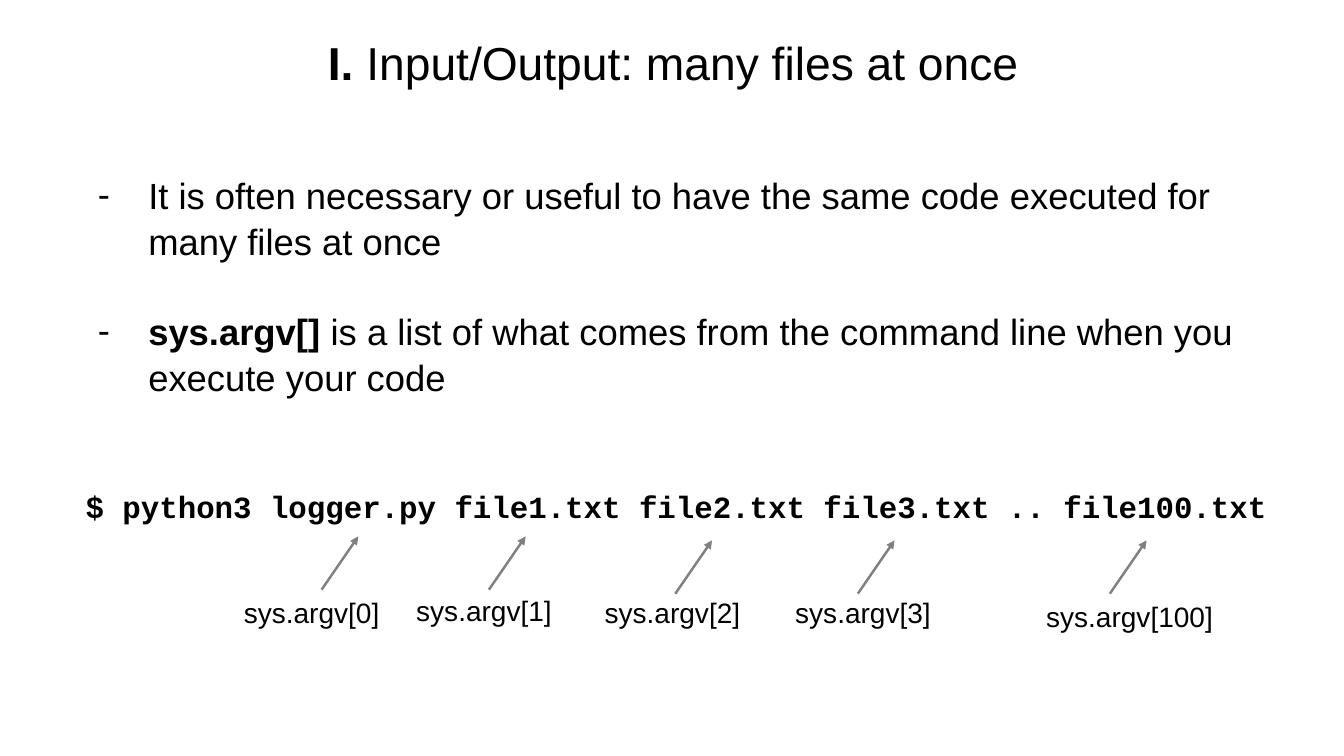
from dataclasses import dataclass

from lxml import etree
from pptx import Presentation
from pptx.dml.color import RGBColor
from pptx.enum.shapes import MSO_CONNECTOR
from pptx.enum.text import MSO_ANCHOR, MSO_AUTO_SIZE, PP_ALIGN
from pptx.oxml.ns import qn
from pptx.util import Inches, Pt

STRAIGHT = MSO_CONNECTOR.STRAIGHT
TOP, MIDDLE = MSO_ANCHOR.TOP, MSO_ANCHOR.MIDDLE
LEFT, CENTER = PP_ALIGN.LEFT, PP_ALIGN.CENTER
NO_AUTOFIT = MSO_AUTO_SIZE.NONE


@dataclass(frozen=True)
class Theme:
    text: RGBColor = RGBColor(0, 0, 0)
    arrow: RGBColor = RGBColor(0x80, 0x80, 0x80)
    sans: str = "Arial"
    mono: str = "Courier New"
    title_size: int = 33
    body_size: int = 26
    command_size: int = 22
    label_size: int = 20
    arrow_width: float = 1.75
    line_spacing: float = 1.05
    paragraph_gap: float = 31.5
    bullet_indent: float = 0.5


class SlideBuilder:
    """Places elements on one slide; lengths are percent of its width and height."""

    def __init__(self, prs, theme):
        self.theme = theme
        self.width, self.height = prs.slide_width, prs.slide_height
        self.slide = prs.slides.add_slide(prs.slide_layouts[1])

    def to_emu(self, x, y):
        return round(self.width * x / 100), round(self.height * y / 100)

    def place(self, sp, box):
        sp.left, sp.top = self.to_emu(*box[:2])
        sp.width, sp.height = self.to_emu(*box[2:])

    def frame(self, sp, anchor, wrap):
        tf = sp.text_frame
        tf.auto_size = NO_AUTOFIT
        tf.word_wrap = wrap
        tf.vertical_anchor = anchor
        return tf

    def add_runs(self, p, runs, size, font, align=LEFT):
        """Fill a paragraph with (text, bold) runs."""
        p.alignment = align
        for text, bold in runs:
            r = p.add_run()
            r.text = text
            r.font.name = font
            r.font.size = Pt(size)
            r.font.bold = bold
            r.font.color.rgb = self.theme.text

    def title(self, box, runs):
        sp = self.slide.shapes.title
        self.place(sp, box)
        tf = self.frame(sp, MIDDLE, False)
        self.add_runs(tf.paragraphs[0], runs, self.theme.title_size, self.theme.sans, CENTER)

    def bullets(self, box, items):
        theme = self.theme
        sp = self.slide.placeholders[1]
        self.place(sp, box)
        tf = self.frame(sp, TOP, True)
        for i, runs in enumerate(items):
            p = tf.add_paragraph() if i else tf.paragraphs[0]
            self.add_runs(p, runs, theme.body_size, theme.sans)
            p.line_spacing = theme.line_spacing
            p.space_before = Pt(theme.paragraph_gap if i else 0)
            pPr = p._p.get_or_add_pPr()
            indent = Inches(theme.bullet_indent)
            pPr.set("marL", str(indent))
            pPr.set("indent", str(-indent))
            etree.SubElement(pPr, qn("a:buFont")).set("typeface", theme.sans)
            etree.SubElement(pPr, qn("a:buChar")).set("char", "-")

    def text(self, box, text, size, font, bold=False, wrap=False):
        sp = self.slide.shapes.add_textbox(0, 0, 0, 0)
        self.place(sp, box)
        tf = self.frame(sp, MIDDLE, wrap)
        self.add_runs(tf.paragraphs[0], [(text, bold)], size, font)

    def arrow(self, start, end):
        cxn = self.slide.shapes.add_connector(
            STRAIGHT, *self.to_emu(*start), *self.to_emu(*end))
        cxn.line.color.rgb = self.theme.arrow
        cxn.line.width = Pt(self.theme.arrow_width)
        spPr = cxn._element.spPr
        etree.SubElement(spPr.get_or_add_ln(), qn("a:tailEnd")).set("type", "triangle")
        etree.SubElement(spPr, qn("a:effectLst"))


TITLE = [("I. ", True), ("Input/Output: many files at once", False)]
POINTS = [
    [("It is often necessary or useful to have the same code executed for "
      "many files at once", False)],
    [("sys.argv[] ", True),
     ("is a list of what comes from the command line when you execute your code", False)],
]
COMMAND = "$ python3 logger.py file1.txt file2.txt file3.txt .. file100.txt"
# index, label left, label top, label width, arrow left, arrow bottom
ARGUMENTS = [
    (0, 17.4, 78, 12, 23.93, 78),
    (1, 30.23, 77.73, 12, 36.38, 78),
    (2, 44.25, 78, 12, 50.25, 78.53),
    (3, 58.43, 78, 12, 63.83, 78.53),
    (100, 77.1, 78.53, 14.33, 82.58, 78.53),
]
LABEL_HEIGHT = 5.87
ARROW_RUN, ARROW_RISE = 2.73, 7.05


def main():
    prs = Presentation()
    prs.slide_width, prs.slide_height = Inches(13.33), Inches(7.5)
    theme = Theme()
    page = SlideBuilder(prs, theme)

    page.title((23.1, 3.87, 54, 8.8), TITLE)
    page.bullets((6.53, 22, 91.13, 30.53), POINTS)
    page.text((5.63, 63.87, 91.13, 6.27), COMMAND, theme.command_size, theme.mono,
              bold=True, wrap=True)
    for index, left, top, width, x, y in ARGUMENTS:
        page.arrow((x, y), (x + ARROW_RUN, y - ARROW_RISE))
        page.text((left, top, width, LABEL_HEIGHT), f"sys.argv[{index}]",
                  theme.label_size, theme.sans)

    prs.save("out.pptx")


if __name__ == "__main__":
    main()
